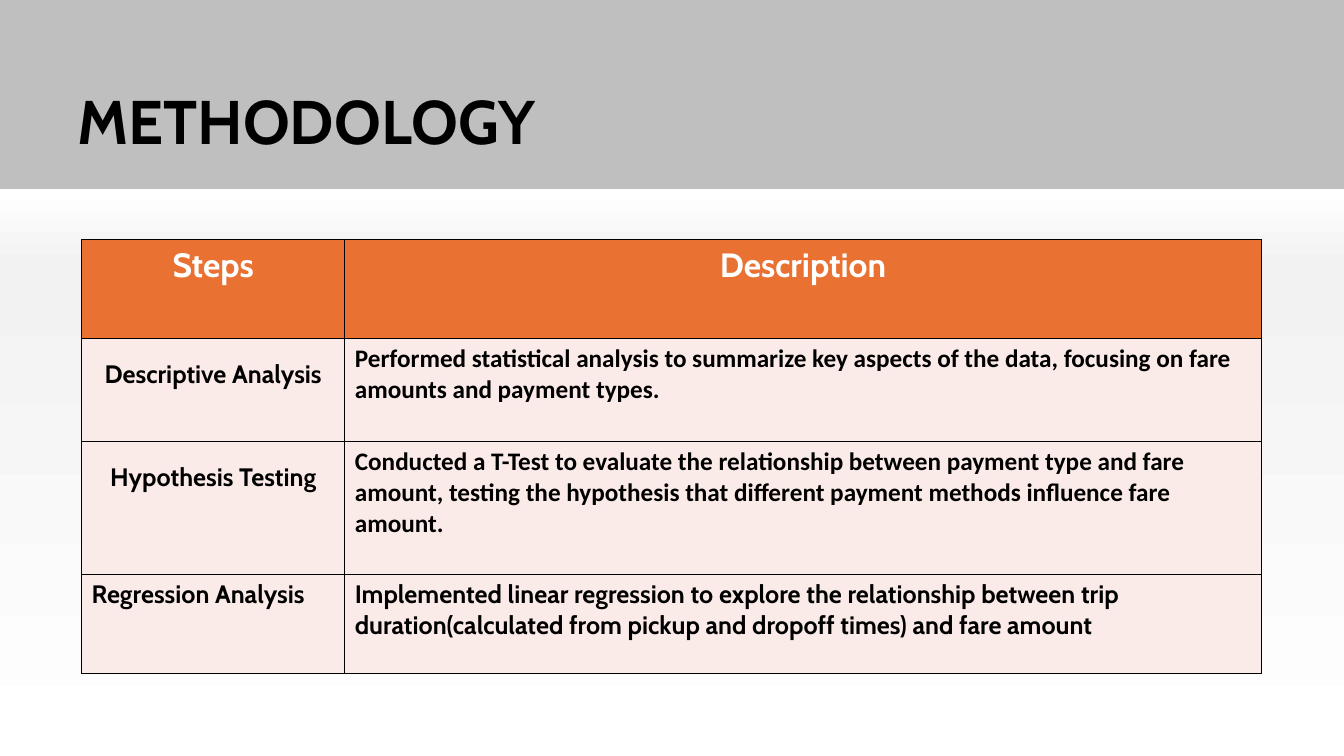
from dataclasses import dataclass

import lxml.etree
import pptx
import pptx.dml.color
import pptx.enum.text
import pptx.oxml.ns
import pptx.util
from pptx.util import Inches

HEADING_FONT = "Cabin"
BODY_FONT = "Calibri"
BLACK = "000000"
WHITE = "FFFFFF"
ORANGE = "E97132"
PINK = "FBEBE8"
CENTER = pptx.enum.text.PP_ALIGN.CENTER
LEFT = pptx.enum.text.PP_ALIGN.LEFT


@dataclass
class Entry:
    text: str
    font: str = HEADING_FONT
    size: int = 18
    color: str = BLACK
    fill: str = PINK
    align: pptx.enum.text.PP_ALIGN = LEFT
    spacing: float = 1.0


@dataclass
class Step:
    height: float
    name: Entry
    description: Entry


def heading(text: str) -> Entry:
    return Entry(text, size=24, color=WHITE, fill=ORANGE, align=CENTER)


def centered_step(text: str) -> Entry:
    return Entry(text, align=CENTER, spacing=1.5)


STEPS = [
    Step(0.98, heading("Steps"), heading("Description")),
    Step(1.02, centered_step("Descriptive Analysis"), Entry(
        "Performed statistical analysis to summarize key aspects of the data, "
        "focusing on fare amounts and payment types.", BODY_FONT)),
    Step(1.32, centered_step("Hypothesis Testing"), Entry(
        "Conducted a T-Test to evaluate the relationship between payment type and fare "
        "amount, testing the hypothesis that different payment methods influence fare "
        "amount.", BODY_FONT)),
    Step(0.98, Entry("Regression Analysis"), Entry(
        "Implemented linear regression to explore the relationship between trip "
        "duration(calculated from pickup and dropoff times) and fare amount")),
]
COLUMN_WIDTHS = [2.61, 9.09]
BACKGROUND_STOPS = [(25, "BFBFBF"), (25, WHITE), (35, "F2F2F2"), (100, WHITE)]


def rgb(value: str) -> pptx.dml.color.RGBColor:
    return pptx.dml.color.RGBColor.from_string(value)


def add_element(parent, tag: str, **attributes: str):
    return lxml.etree.SubElement(parent, pptx.oxml.ns.qn(tag), **attributes)


def paint_background(slide) -> None:
    fill = slide.background.fill
    fill.gradient()
    fill.gradient_angle = 270
    stops = next(slide.element.iter(pptx.oxml.ns.qn("a:gsLst")))
    for stop in list(stops):
        stops.remove(stop)
    for percent, color in BACKGROUND_STOPS:
        stop = add_element(stops, "a:gs", pos=str(percent * 1000))
        add_element(stop, "a:srgbClr", val=color)


def write(frame, entry: Entry) -> None:
    paragraph = frame.paragraphs[0]
    paragraph.text = entry.text
    paragraph.alignment = entry.align
    paragraph.line_spacing = entry.spacing
    paragraph.font.name = entry.font
    paragraph.font.size = pptx.util.Pt(entry.size)
    paragraph.font.bold = True
    paragraph.font.color.rgb = rgb(entry.color)


def fill_cell(cell, entry: Entry) -> None:
    write(cell.text_frame, entry)
    # Borders come before the fill in the cell properties
    properties = cell._tc.get_or_add_tcPr()
    for side in ("L", "R", "T", "B"):
        border = add_element(properties, f"a:ln{side}", w=str(pptx.util.Pt(1)))
        add_element(add_element(border, "a:solidFill"), "a:srgbClr", val=BLACK)
    cell.fill.solid()
    cell.fill.fore_color.rgb = rgb(entry.fill)


def add_title(slide) -> None:
    title = slide.shapes.add_textbox(
        Inches(0.67), Inches(0.51), Inches(11.5), Inches(1.45)).text_frame
    title.word_wrap = True
    title.vertical_anchor = pptx.enum.text.MSO_ANCHOR.MIDDLE
    write(title, Entry("METHODOLOGY", size=44, spacing=0.9))


def add_steps(slide) -> None:
    steps_table = slide.shapes.add_table(
        len(STEPS), len(COLUMN_WIDTHS), Inches(0.81), Inches(2.38),
        Inches(sum(COLUMN_WIDTHS)), Inches(sum(step.height for step in STEPS))).table
    for column, width in zip(steps_table.columns, COLUMN_WIDTHS):
        column.width = Inches(width)
    for row, step in zip(steps_table.rows, STEPS):
        row.height = Inches(step.height)
        for cell, entry in zip(row.cells, (step.name, step.description)):
            fill_cell(cell, entry)


def main() -> None:
    deck = pptx.Presentation()
    deck.slide_width = Inches(13.33)
    deck.slide_height = Inches(7.5)
    slide = deck.slides.add_slide(deck.slide_layouts[6])
    paint_background(slide)
    add_title(slide)
    add_steps(slide)
    deck.save("out.pptx")


if __name__ == "__main__":
    main()
